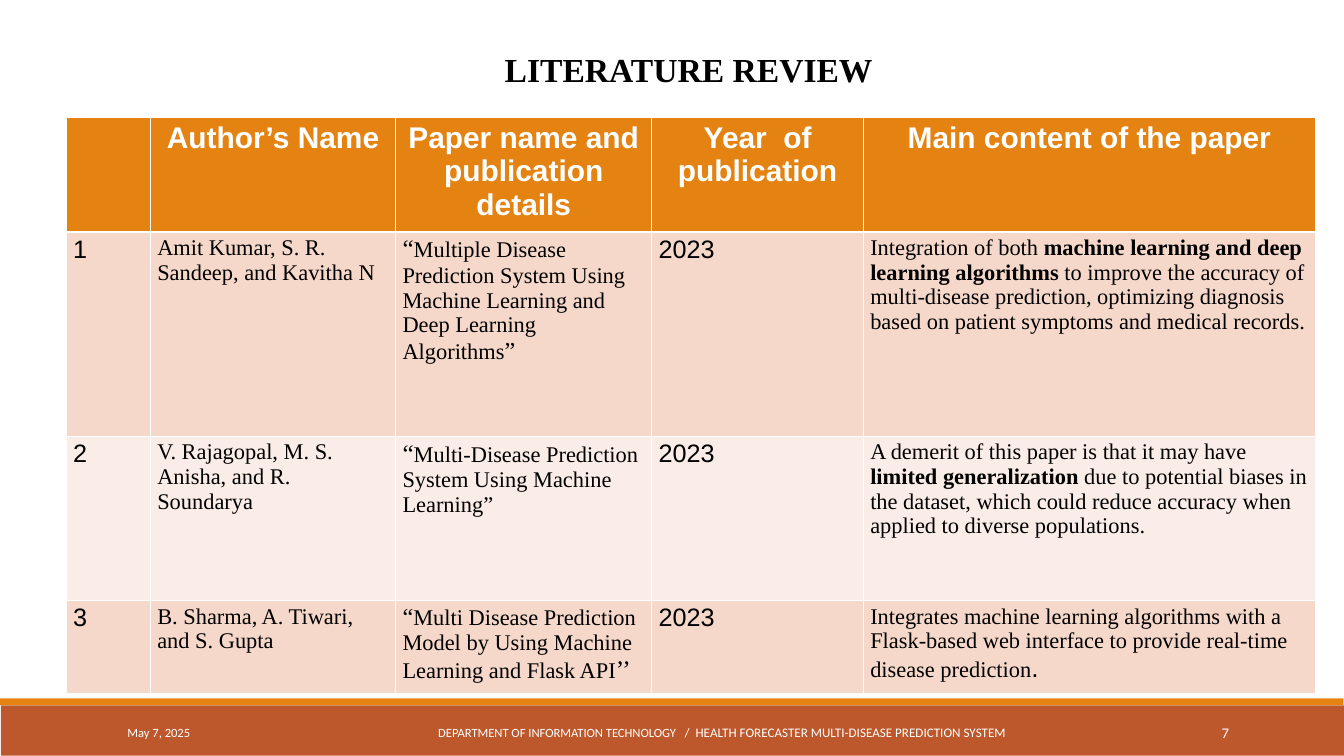
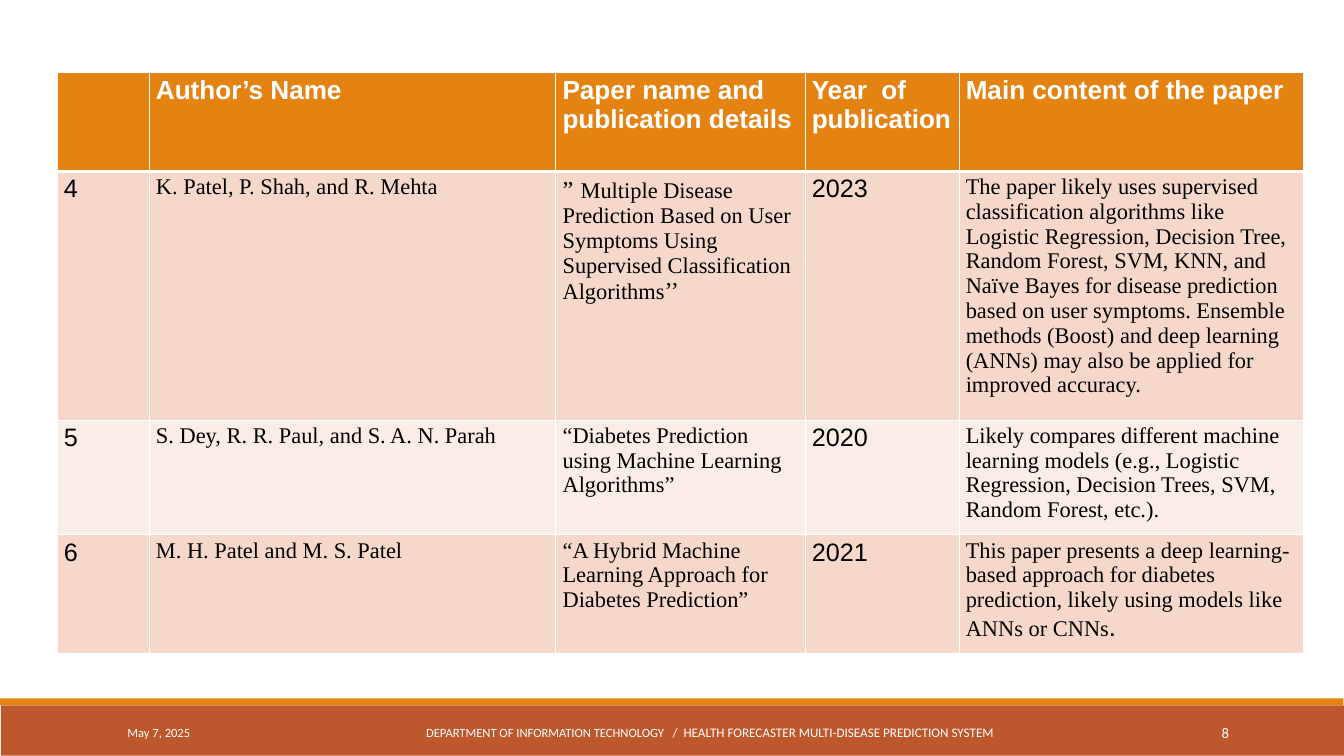
from dataclasses import dataclass, field

from lxml.etree import SubElement
from pptx import Presentation
from pptx.dml.color import RGBColor
from pptx.enum.shapes import MSO_SHAPE
from pptx.enum.text import MSO_ANCHOR, MSO_AUTO_SIZE, PP_ALIGN
from pptx.oxml.ns import qn
from pptx.util import Cm, Pt


@dataclass
class Theme:
    orange: str = "E48312"
    rust: str = "BD582C"
    white: str = "FFFFFF"
    black: str = "000000"
    bands: tuple = ("F5D8CA", "FAECE6")
    serif: str = "Times New Roman"
    sans: str = "Arial"
    footer_font: str = "Calibri"
    sizes: dict = field(default_factory=lambda: {
        "title": 36, "body": 24, "number": 27, "stop": 28,
        "footer": 13.5, "project": 14, "page": 15.8})


theme = Theme()


def write(tf, text, size, font=theme.serif, color=theme.black, bold=False, align=None):
    p = tf.paragraphs[0]
    if align is not None:
        p.alignment = align
    r = p.add_run()
    r.text = text
    r.font.name = font
    r.font.size = Pt(size)
    r.font.bold = bold
    r.font.color.rgb = RGBColor.from_string(color)


def format_cell(cell, fill, top, bottom):
    tcPr = cell._tc.get_or_add_tcPr()
    for side, width in (("L", 1), ("R", 1), ("T", top), ("B", bottom)):
        ln = SubElement(tcPr, qn(f"a:ln{side}"), w=str(Pt(width)))
        line_fill = SubElement(ln, qn("a:solidFill"))
        SubElement(line_fill, qn("a:srgbClr"), val=theme.white)
    cell.fill.solid()
    cell.fill.fore_color.rgb = RGBColor.from_string(fill)


headers = ["", "Author’s Name", "Paper name and publication details",
           "Year  of publication", "Main content of the paper"]
body, number, stop = (theme.sizes[k] for k in ("body", "number", "stop"))

reviews = [
    {
        "title": "LITERATURE REVIEW", "page": "7", "footer_width": 23.85,
        "at": (2.51, 4.45), "header_size": 32, "header_align": PP_ALIGN.CENTER,
        "cols": [3.18, 9.27, 9.68, 8, 17.09], "rows": [4.32, 7.72, 6.22, 3.5],
        "papers": [
            ("1", "Amit Kumar, S. R. Sandeep, and Kavitha N",
             [("“", {"size": 27}),
              ("Multiple Disease Prediction System Using Machine Learning and Deep Learning Algorithms", {}),
              ("”", {"size": 26})],
             "2023",
             [("Integration of both ", {}),
              ("machine learning and deep learning algorithms", {"bold": True}),
              (" to improve the accuracy of multi-disease prediction, optimizing diagnosis "
               "based on patient symptoms and medical records.", {})]),
            ("2", "V. Rajagopal, M. S. Anisha, and R. Soundarya",
             [("“", {"size": 27}),
              ("Multi-Disease Prediction System Using Machine Learning”", {})],
             "2023",
             [("A demerit of this paper is that it may have ", {}),
              ("limited generalization", {"bold": True}),
              (" due to potential biases in the dataset, which could reduce accuracy when "
               "applied to diverse populations.", {})]),
            ("3", "B. Sharma, A. Tiwari, and S. Gupta",
             [("“", {"size": 26}),
              ("Multi Disease Prediction Model by Using Machine Learning and Flask API", {}),
              ("’’", {"size": 27})],
             "2023",
             [("Integrates machine learning algorithms with a Flask-based web interface "
               "to provide real-time disease prediction", {}),
              (".", {"size": stop, "font": theme.sans})]),
        ],
    },
    {
        "title": None, "page": "8", "footer_width": 22.94,
        "at": (2.16, 2.74), "header_size": 28, "header_align": None,
        "cols": [3.48, 15.37, 9.42, 5.82, 13], "rows": [3.74, 9.4, 4.34, 4.47],
        "papers": [
            ("4", "K. Patel, P. Shah, and R. Mehta",
             [("”", {"size": 26}),
              (" ", {"size": stop, "font": theme.sans}),
              ("Multiple Disease Prediction Based on User Symptoms Using "
               "Supervised Classification Algorithms", {}),
              ("’’", {"size": 26})],
             "2023",
             [("The paper likely uses supervised classification algorithms like Logistic "
               "Regression, Decision Tree, Random Forest, SVM, KNN, and Naïve Bayes for disease "
               "prediction based on user symptoms. Ensemble methods (Boost) and deep learning "
               "(ANNs) may also be applied for improved accuracy.", {})]),
            ("5", "S. Dey, R. R. Paul, and S. A. N. Parah",
             [("“Diabetes Prediction using Machine Learning Algorithms”", {})],
             "2020",
             [("Likely compares different machine learning models (e.g., Logistic Regression, "
               "Decision Trees, SVM, Random Forest, etc.).", {})]),
            ("6", "M. H. Patel and M. S. Patel",
             [("“A Hybrid Machine Learning Approach for Diabetes Prediction”", {})],
             "2021",
             [("This paper presents a deep learning-based approach for diabetes prediction, "
               "likely using models like ANNs or CNNs", {}),
              (".", {"size": stop, "font": theme.sans})]),
        ],
    },
]

prs = Presentation()
prs.slide_width, prs.slide_height = Cm(50.8), Cm(28.58)
title_only, blank = prs.slide_layouts[5], prs.slide_layouts[6]

for review in reviews:
    s = prs.slides.add_slide(title_only if review["title"] else blank)

    for left, top, width, height, color in (
            (0.03, 26.67, 50.77, 1.9, theme.rust),
            (0, 26.4, 50.78, 0.26, theme.orange)):
        sp = s.shapes.add_shape(MSO_SHAPE.RECTANGLE, Cm(left), Cm(top), Cm(width), Cm(height))
        sp.shadow.inherit = False
        sp.fill.solid()
        sp.fill.fore_color.rgb = RGBColor.from_string(color)
        sp.line.fill.background()

    for left, width, align, parts in (
            (4.57, 10.31, PP_ALIGN.LEFT, [("May 7, 2025", "footer")]),
            (15.37, review["footer_width"], PP_ALIGN.CENTER,
             [("DEPARTMENT OF INFORMATION TECHNOLOGY   ", "footer"),
              ("/  HEALTH FORECASTER MULTI-DISEASE PREDICTION SYSTEM", "project")]),
            (41.25, 5.46, PP_ALIGN.RIGHT, [(review["page"], "page")])):
        tf = s.shapes.add_textbox(Cm(left), Cm(26.92), Cm(width), Cm(1.52)).text_frame
        tf.word_wrap = True
        tf.vertical_anchor = MSO_ANCHOR.MIDDLE
        for text, size in parts:
            write(tf, text, theme.sizes[size], font=theme.footer_font,
                  color=theme.white, align=align)

    if review["title"]:
        sp = s.shapes.title
        sp.left, sp.top, sp.width, sp.height = Cm(1.98), Cm(0.97), Cm(46.84), Cm(2.29)
        tf = sp.text_frame
        tf.auto_size = MSO_AUTO_SIZE.NONE
        tf.vertical_anchor = MSO_ANCHOR.TOP
        write(tf, review["title"], theme.sizes["title"], bold=True, align=PP_ALIGN.CENTER)
        p = tf.paragraphs[0]
        p.line_spacing = 1.5
        p._p.get_or_add_pPr().set("marL", str(Cm(1.27)))

    cols, rows = review["cols"], review["rows"]
    left, top = review["at"]
    table = s.shapes.add_table(len(rows), len(cols), Cm(left), Cm(top),
                               Cm(sum(cols)), Cm(sum(rows))).table
    for column, width in zip(table.columns, cols):
        column.width = Cm(width)
    for row, height in zip(table.rows, rows):
        row.height = Cm(height)

    for cell, text in zip(table.rows[0].cells, headers):
        format_cell(cell, theme.orange, 1, 3)
        if text:
            write(cell.text_frame, text, review["header_size"], font=theme.sans,
                  color=theme.white, bold=True, align=review["header_align"])

    for i, paper in enumerate(review["papers"]):
        for j, content in enumerate(paper):
            cell = table.cell(i + 1, j)
            format_cell(cell, theme.bands[i % 2], 3 if i == 0 else 1, 1)
            if j in (0, 3):
                write(cell.text_frame, content, number, font=theme.sans)
                continue
            runs = [(content, {})] if j == 1 else content
            for text, style in runs:
                write(cell.text_frame, text, **{"size": body, **style})

prs.save("out.pptx")
